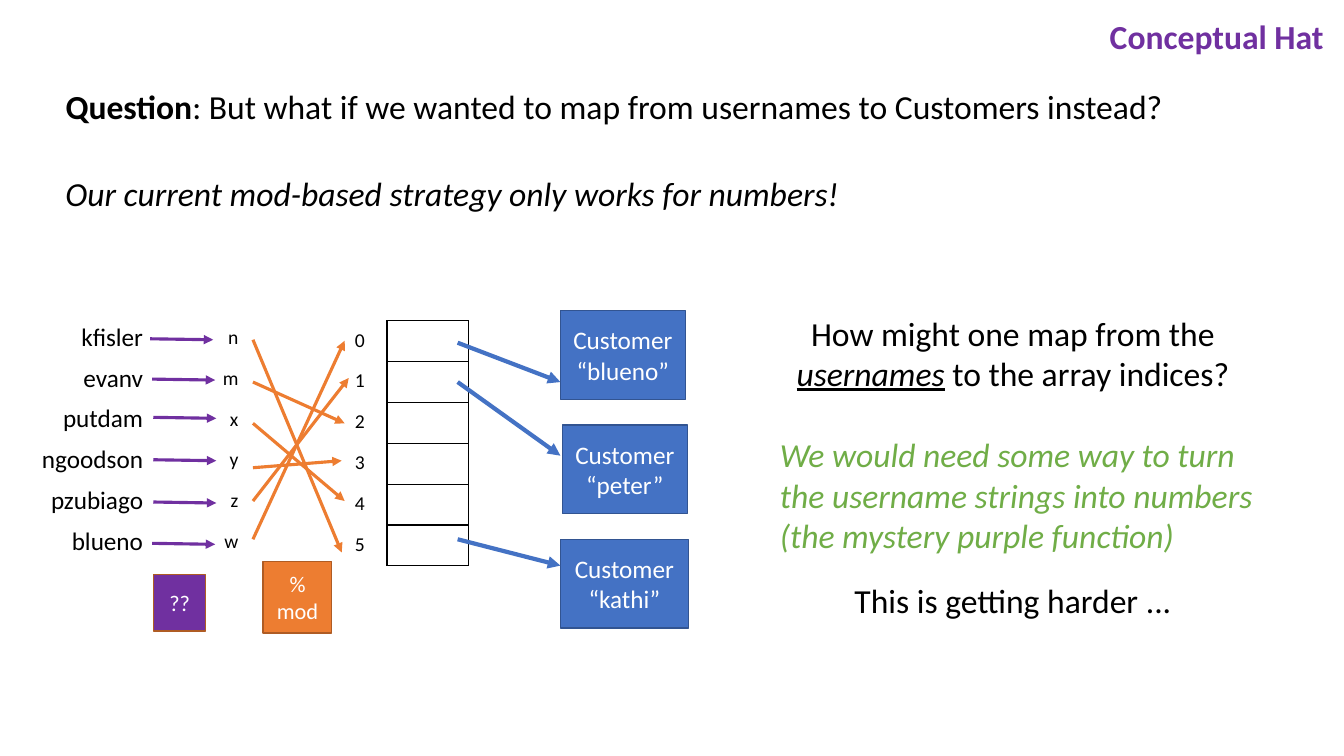
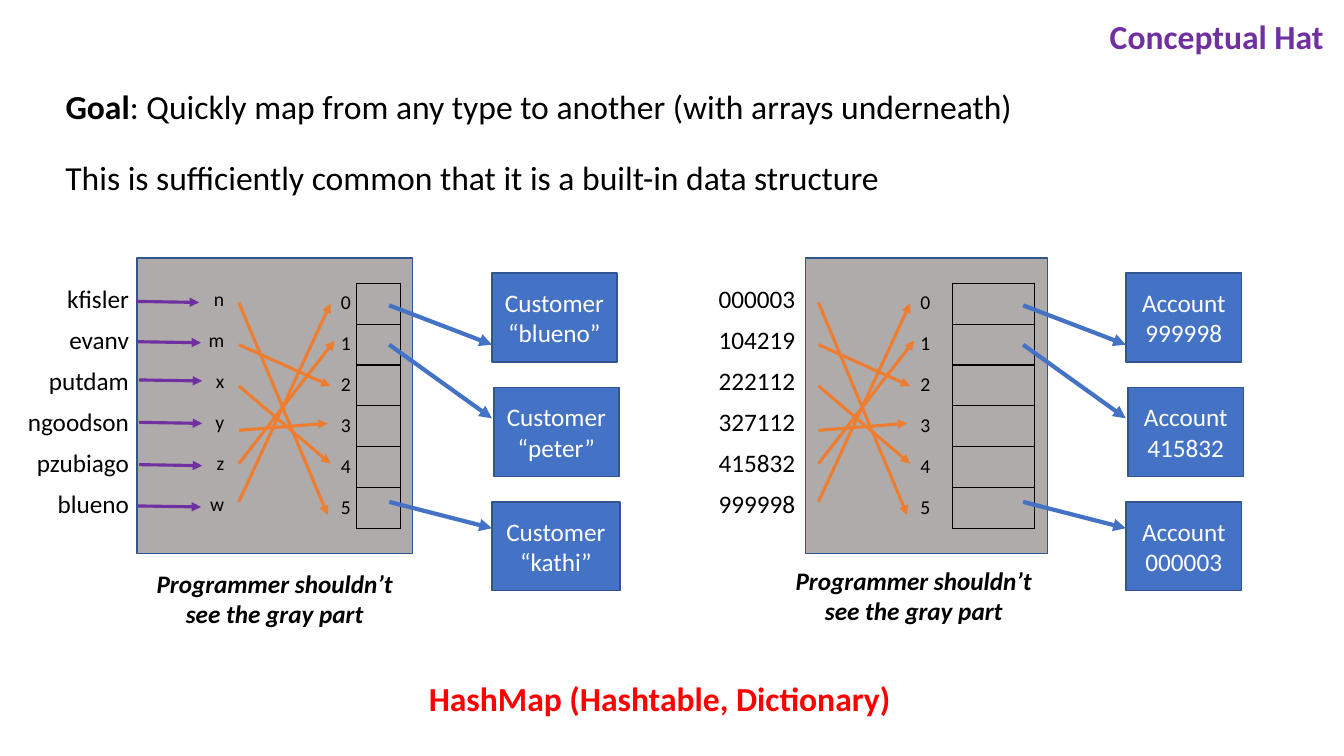
"""Two slides on hashing: mapping usernames and account numbers to array slots."""
import pptx
import pptx.chart
import pptx.dml.color
import pptx.enum.shapes
import pptx.enum.text
import pptx.oxml
import pptx.oxml.ns
import pptx.util

Pt = pptx.util.Pt
RGBColor = pptx.dml.color.RGBColor
ALIGN = pptx.enum.text.PP_ALIGN
ANCHOR = pptx.enum.text.MSO_ANCHOR

FONT = "Calibri"
BLACK = RGBColor(0x00, 0x00, 0x00)
WHITE = RGBColor(0xFF, 0xFF, 0xFF)
PURPLE = RGBColor(0x70, 0x30, 0xA0)
ORANGE = RGBColor(0xED, 0x7D, 0x31)
DARK_ORANGE = RGBColor(0xAF, 0x5C, 0x24)
BLUE = RGBColor(0x44, 0x72, 0xC4)
DARK_BLUE = RGBColor(0x32, 0x54, 0x91)
GREEN = RGBColor(0x70, 0xAD, 0x47)
GRAY = RGBColor(0xAF, 0xAB, 0xAB)
RED = RGBColor(0xFF, 0x00, 0x00)

LABEL = "Conceptual Hat"
CAPTION = "Programmer shouldn’t see the gray part"
USERS = ["kfisler", "evanv", "putdam", "ngoodson", "pzubiago", "blueno"]
NUMBERS = ["000003", "104219", "222112", "327112", "415832", "999998"]
LETTERS = list("nmxyzw")
INDICES = list("012345")
CUSTOMERS = [("Customer", "“blueno”"), ("Customer", "“peter”"), ("Customer", "“kathi”")]
ACCOUNTS = [("Account", "999998"), ("Account", "415832"), ("Account", "000003")]

ROW_H = 29.2
KEYS_W = 100
LETTERS_W = 25.2
INDEX_W = 16.6
BOX_H = 63.4
BOX_PITCH = 81.7
HASH_LEN = 45
HASH_STARTS = [(0, 13), (1.4, 41.8), (2.2, 69.1), (2.2, 99.4), (2.2, 129.6), (1.4, 159.1)]
MOD_ARROWS = [(13.7, 63.4, 165.6), (43.9, 65.5, 73.4), (73.4, 65.5, 128.9),
              (105.1, 63.4, 100.1), (156.2, 65.5, 14.4), (128.9, 68.4, 41)]
SLOT_LEN = 73.4
SLOT_ARROWS = [(15.8, 43.9), (43.9, 96.5), (156.2, 175)]

USER_MAP = dict(top=229, keys=USERS, keys_x=9.4, hash_x=107.3, mod_x=180.7,
                array=(276.5, 58.3), box_x=400.3, boxes=CUSTOMERS,
                box_widths=(89.3, 89.3, 91.4))
HIDDEN_USER_MAP = dict(top=202.3, keys=USERS, keys_x=-0.7, hash_x=97.2, mod_x=170.6,
                       array=(254.9, 31), box_x=351.4, boxes=CUSTOMERS,
                       box_widths=(89.3, 89.3, 91.4), panel=(97.9, 196.6),
                       caption=(97.9, 402.5))
HIDDEN_ACCOUNT_MAP = dict(top=202.3, keys=NUMBERS, keys_x=475.2, mod_x=584.6,
                          array=(680.4, 58.3), box_x=804.2, boxes=ACCOUNTS,
                          box_widths=(82.8, 82.8, 82.8), panel=(575.3, 172.8),
                          caption=(554.4, 400.3))

SLIDES = [
    dict(
        title=[("Question", "b"),
               (": But what if we wanted to map from usernames to Customers instead?", "")],
        maps=[USER_MAP],
        texts=[
            ((39.6, 120.2, 640, 36),
             [("Our current mod-based strategy only works for numbers!", "i")], {}),
            ((550, 219.6, 347, 65.5),
             [("How might one map from the ", ""), ("usernames", "iu"),
              (" to the array indices?", "")], dict(align=ALIGN.CENTER)),
            ((550, 306.7, 360, 94.3),
             [("We would need some way to turn the username strings into numbers "
               "(the mystery purple function)", "i")], dict(color=GREEN)),
            ((550, 410.4, 347, 36), [("This is getting harder ...", "")],
             dict(align=ALIGN.CENTER)),
        ],
        steps=[((188, 401, 49, 51.1), ["%", "mod"], ORANGE),
               ((109.6, 410.4, 37.4, 40.3), ["??"], PURPLE)],
    ),
    dict(
        title=[("Goal", "b"),
               (": Quickly map from any type to another (with arrays underneath)", "")],
        maps=[HIDDEN_USER_MAP, HIDDEN_ACCOUNT_MAP],
        texts=[
            ((39.6, 108.7, 640, 36),
             [("This is sufficiently common that it is a built-in data structure", "")], {}),
            ((170.6, 481, 601.2, 36), [("HashMap (Hashtable, Dictionary)", "b")],
             dict(color=RED, align=ALIGN.CENTER)),
        ],
        steps=[],
    ),
]


def write(p, runs, size=24, color=BLACK, align=ALIGN.LEFT):
    """Write (text, flags) runs; flags are b, i and u."""
    p.alignment = align
    p.font.name, p.font.size = FONT, Pt(size)
    p.font.color.rgb = color
    shared = set.intersection(*(set(flags) for _, flags in runs))
    style(p.font, shared)
    for text, flags in runs:
        r = p.add_run()
        r.text = text
        style(r.font, set(flags) - shared)


def style(font, flags):
    """Switch on the flagged font styles."""
    for flag, name in (("b", "bold"), ("i", "italic"), ("u", "underline")):
        if flag in flags:
            setattr(font, name, True)


def add_text(s, at, runs, **look):
    """Add a wrapped text box."""
    tf = s.shapes.add_textbox(*map(Pt, at)).text_frame
    tf.word_wrap = True
    write(tf.paragraphs[0], runs, **look)


def add_box(s, at, lines, fill, line, size=18):
    """Add a filled rectangle with centred white lines of text."""
    sp = s.shapes.add_shape(pptx.enum.shapes.MSO_SHAPE.RECTANGLE, *map(Pt, at))
    sp.shadow.inherit = False
    sp.fill.solid()
    sp.fill.fore_color.rgb = fill
    sp.line.color.rgb = line
    sp.line.width = Pt(1)
    tf = sp.text_frame
    tf.vertical_anchor = ANCHOR.MIDDLE
    for i, text in enumerate(lines):
        p = tf.add_paragraph() if i else tf.paragraphs[0]
        write(p, [(text, "")], size, WHITE, ALIGN.CENTER)


def add_arrow(s, x1, y1, x2, y2, color, width=2.25):
    """Add a straight arrow."""
    c = s.shapes.add_connector(pptx.enum.shapes.MSO_CONNECTOR.STRAIGHT,
                               *map(Pt, (x1, y1, x2, y2)))
    c.line.color.rgb = color
    c.line.width = Pt(width)
    ln = c.line._get_or_add_ln()
    ln.append(ln.makeelement(pptx.oxml.ns.qn("a:tailEnd"), {"type": "triangle"}))
    props = c.element.spPr
    props.append(props.makeelement(pptx.oxml.ns.qn("a:effectLst"), {}))


def set_borders(cell, color):
    """Draw all four borders of a cell, or none when color is None."""
    paint = f'<a:solidFill><a:srgbClr val="{color}"/></a:solidFill>' if color else "<a:noFill/>"
    props = cell._tc.get_or_add_tcPr()
    for i, side in enumerate("LRTB"):
        props.insert(i, pptx.oxml.parse_xml(
            f'<a:ln{side} {pptx.oxml.ns.nsdecls("a")} w="12700">{paint}</a:ln{side}>'))


def add_column(s, x, y, w, texts, size=18, margin=7.2, border=None):
    """Add a one-column table with right-aligned text."""
    table = s.shapes.add_table(len(texts), 1, *map(Pt, (x, y, w, ROW_H * len(texts)))).table
    table.first_row = table.horz_banding = False
    for row, text in zip(table.rows, texts):
        row.height = Pt(ROW_H)
        cell = row.cells[0]
        cell.margin_left, cell.margin_right = 0, Pt(margin)
        cell.fill.background()
        set_borders(cell, border)
        if text:
            write(cell.text_frame.paragraphs[0], [(text, "")], size, align=ALIGN.RIGHT)


def add_map(s, top, keys, keys_x, mod_x, array, box_x, boxes, box_widths,
            hash_x=None, panel=None, caption=None):
    """Draw keys, arrows, array and the objects that the array points to."""
    if panel:
        add_box(s, (panel[0], top - 18, panel[1], 211), [], GRAY, DARK_BLUE)
        add_text(s, (*caption, 196.6, 51), [(CAPTION, "bi")], size=18, align=ALIGN.CENTER)
    for y1, dx, y2 in MOD_ARROWS:
        add_arrow(s, mod_x, top + y1, mod_x + dx, top + y2, ORANGE)
    add_column(s, keys_x, top - 2.5, KEYS_W, keys)
    add_column(s, mod_x + 65.3, top + 2, INDEX_W, INDICES, size=14, margin=2)
    add_column(s, array[0], top, array[1], [""] * len(keys), border=BLACK)
    if hash_x is not None:
        add_column(s, hash_x + HASH_LEN, top, LETTERS_W, LETTERS, size=14)
        for dx, y in HASH_STARTS:
            add_arrow(s, hash_x + dx, top + y, hash_x + dx + HASH_LEN, top + y + 0.7, PURPLE)
    for i, (lines, w) in enumerate(zip(boxes, box_widths)):
        x = box_x + 1.4 * (i % 2)
        add_box(s, (x, top - 7.2 + i * BOX_PITCH, w, BOX_H), lines, BLUE, DARK_BLUE)
    for y1, y2 in SLOT_ARROWS:
        add_arrow(s, box_x - SLOT_LEN, top + y1, box_x, top + y2, BLUE, 3)


def main():
    """Build and save the deck."""
    prs = pptx.Presentation()
    prs.slide_width, prs.slide_height = Pt(960), Pt(540)
    layout = prs.slide_layouts[5]
    title = layout.placeholders[0]
    title.left, title.top, title.width, title.height = map(Pt, (39.6, 57.6, 860, 36))
    for content in SLIDES:
        s = prs.slides.add_slide(layout)
        tf = s.shapes.title.text_frame
        tf.auto_size = pptx.enum.text.MSO_AUTO_SIZE.NONE
        tf.vertical_anchor = ANCHOR.TOP
        write(tf.paragraphs[0], content["title"])
        add_text(s, (740, 8, 212.6, 36), [(LABEL, "b")], color=PURPLE, align=ALIGN.RIGHT)
        for parts in content["maps"]:
            add_map(s, **parts)
        for at, runs, look in content["texts"]:
            add_text(s, at, runs, **look)
        for at, lines, fill in content["steps"]:
            add_box(s, at, lines, fill, DARK_ORANGE, 16)
    prs.save("out.pptx")


if __name__ == "__main__":
    main()
